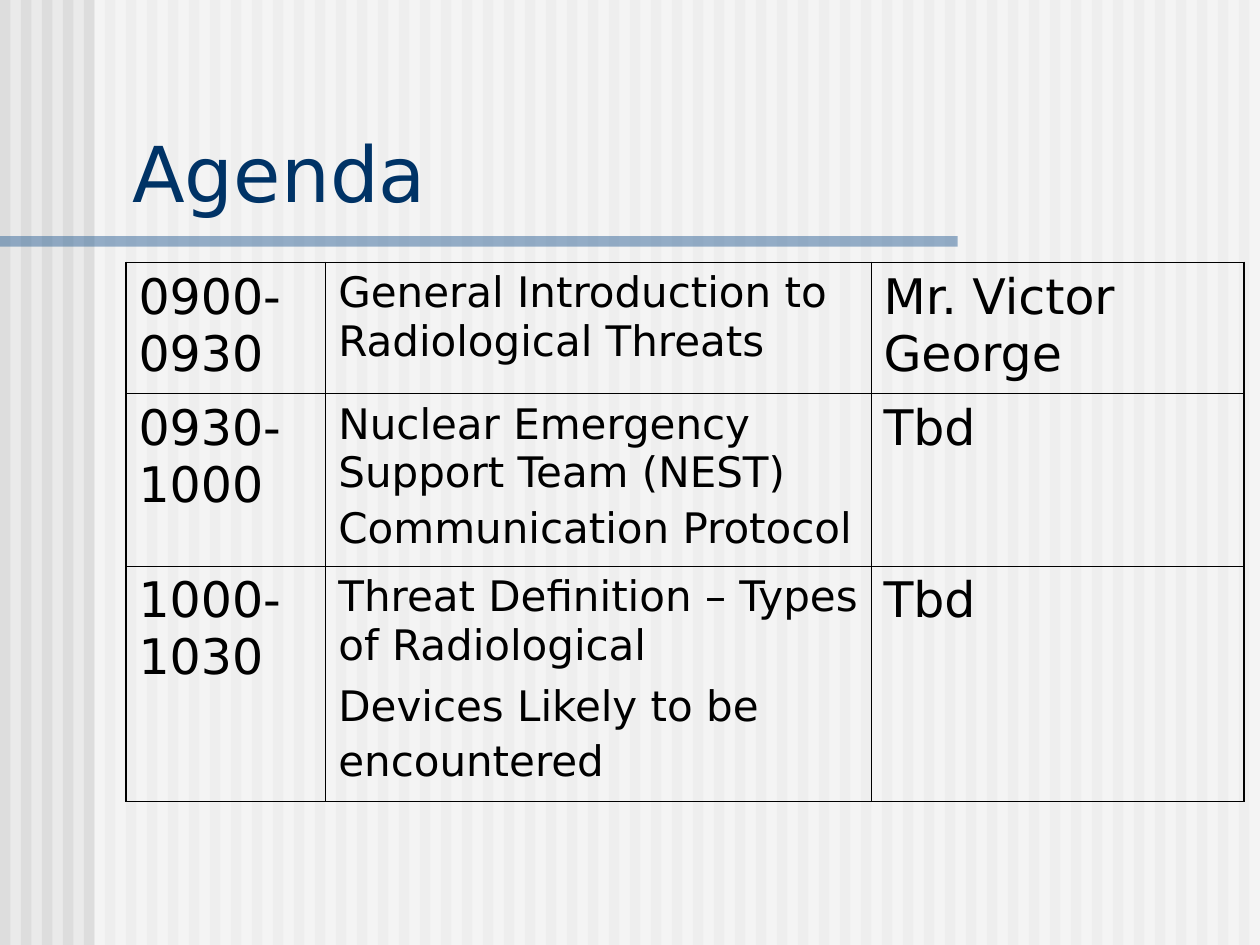
from lxml import etree
from pptx import Presentation
from pptx.dml.color import RGBColor
from pptx.enum.shapes import MSO_SHAPE
from pptx.enum.text import MSO_ANCHOR, MSO_AUTO_SIZE, PP_ALIGN
from pptx.oxml.ns import qn
from pptx.util import Pt

RECTANGLE = MSO_SHAPE.RECTANGLE
BOTTOM = MSO_ANCHOR.BOTTOM
GROW = MSO_AUTO_SIZE.SHAPE_TO_FIT_TEXT
LEFT = PP_ALIGN.LEFT

PAPER = RGBColor(0xEA, 0xEA, 0xEA)
STRIPE = RGBColor(0xDD, 0xDD, 0xDD)
WHITE = RGBColor(0xFF, 0xFF, 0xFF)
BLUE = RGBColor(0x33, 0x66, 0x99)
NAVY = RGBColor(0x00, 0x33, 0x66)
BLACK = RGBColor(0x00, 0x00, 0x00)

FONT = "DejaVu Sans"
SLIDE_WIDTH, SLIDE_HEIGHT = 720, 540
STRIPE_WIDTH, STRIPE_PITCH = 6, 12
COLUMN_WIDTHS = (114.2, 311.5, 213)
ROW_HEIGHTS = (75, 98.5, 134.5)
OUTER_LINE, INNER_LINE = 1.08, 0.45

AGENDA = [
    [[(7, [("0900-0930", 28)])],
     [(5, [("General Introduction to Radiological Threats", 24), (" ", 20)])],
     [(7, [("Mr. Victor George", 28)])]],
    [[(7, [("0930-1000", 28)])],
     [(7, [("Nuclear Emergency Support Team (NEST) Communication Protocol", 24),
           (" ", 28)])],
     [(7, [("Tbd", 28)])]],
    [[(7, [("1000-1030", 28)])],
     [(6, [("Threat Definition – Types of Radiological", 24)]),
      (7, [("Devices Likely to be encountered", 24), (" ", 28)])],
     [(7, [("Tbd", 28)])]],
]


def apply_format(target, values):
    for name, value in values.items():
        setattr(target, name, value)


def add_run(paragraph, text, size, color):
    run = paragraph.add_run()
    run.text = text
    apply_format(run.font, {"name": FONT, "size": Pt(size), "bold": False})
    run.font.color.rgb = color


def add_band(shapes, left, top, width, height, color, opacity=100):
    band = shapes.add_shape(RECTANGLE, Pt(left), Pt(top), Pt(width), Pt(height))
    band.shadow.inherit = False
    band.line.fill.background()
    band.fill.solid()
    band.fill.fore_color.rgb = color
    if opacity < 100:
        rgb = band.element.spPr.find(qn("a:solidFill"))[0]
        etree.SubElement(rgb, qn("a:alpha"), val=str(opacity * 1000))


def add_backdrop(slide):
    slide.background.fill.solid()
    slide.background.fill.fore_color.rgb = PAPER
    backdrop = slide.shapes.add_group_shape().shapes
    for left in range(0, SLIDE_WIDTH, STRIPE_PITCH):
        add_band(backdrop, left, 0, STRIPE_WIDTH, SLIDE_HEIGHT, STRIPE)
    add_band(backdrop, 54, 0, SLIDE_WIDTH - 54, SLIDE_HEIGHT, WHITE, 50)
    add_band(backdrop, 0, 135, 547.2, 6, BLUE, 50)


def set_title(slide, text):
    title = slide.shapes.title
    title.element.getparent().append(title.element)
    apply_format(title, {"left": Pt(68.4), "top": Pt(67.5),
                         "width": Pt(643), "height": Pt(60.5)})
    frame = title.text_frame
    apply_format(frame, {"word_wrap": True, "auto_size": GROW,
                         "vertical_anchor": BOTTOM,
                         "margin_left": Pt(7.2), "margin_right": Pt(7.2),
                         "margin_top": Pt(3.6), "margin_bottom": Pt(3.6)})
    heading = frame.paragraphs[0]
    heading.alignment = LEFT
    add_run(heading, text, 44, NAVY)


def add_border(cell, side, width):
    properties = cell._tc.get_or_add_tcPr()
    border = etree.SubElement(properties, qn(f"a:ln{side}"), w=str(Pt(width)))
    fill = etree.SubElement(border, qn("a:solidFill"))
    etree.SubElement(fill, qn("a:srgbClr"), val=str(BLACK))


def fill_cell(cell, paragraphs):
    frame = cell.text_frame
    for index, (space_before, runs) in enumerate(paragraphs):
        paragraph = frame.add_paragraph() if index else frame.paragraphs[0]
        apply_format(paragraph, {"alignment": LEFT,
                                 "space_before": Pt(space_before)})
        for text, size in runs:
            add_run(paragraph, text, size, BLACK)


def add_agenda(slide):
    row_count, column_count = len(ROW_HEIGHTS), len(COLUMN_WIDTHS)
    agenda = slide.shapes.add_table(
        row_count, column_count, Pt(72), Pt(150),
        Pt(sum(COLUMN_WIDTHS)), Pt(sum(ROW_HEIGHTS))).table
    apply_format(agenda, {"first_row": False, "horz_banding": False})
    for column, width in zip(agenda.columns, COLUMN_WIDTHS):
        column.width = Pt(width)
    for row, height in zip(agenda.rows, ROW_HEIGHTS):
        row.height = Pt(height)
    for r, entries in enumerate(AGENDA):
        for c, paragraphs in enumerate(entries):
            cell = agenda.cell(r, c)
            fill_cell(cell, paragraphs)
            outer_sides = {"L": c == 0, "R": c == column_count - 1,
                           "T": r == 0, "B": r == row_count - 1}
            for side, is_outer in outer_sides.items():
                add_border(cell, side, OUTER_LINE if is_outer else INNER_LINE)
            cell.fill.background()


def main():
    presentation = Presentation()
    apply_format(presentation, {"slide_width": Pt(SLIDE_WIDTH),
                                "slide_height": Pt(SLIDE_HEIGHT)})
    slide = presentation.slides.add_slide(presentation.slide_layouts[5])
    add_backdrop(slide)
    set_title(slide, "Agenda")
    add_agenda(slide)
    presentation.save("out.pptx")


if __name__ == "__main__":
    main()
